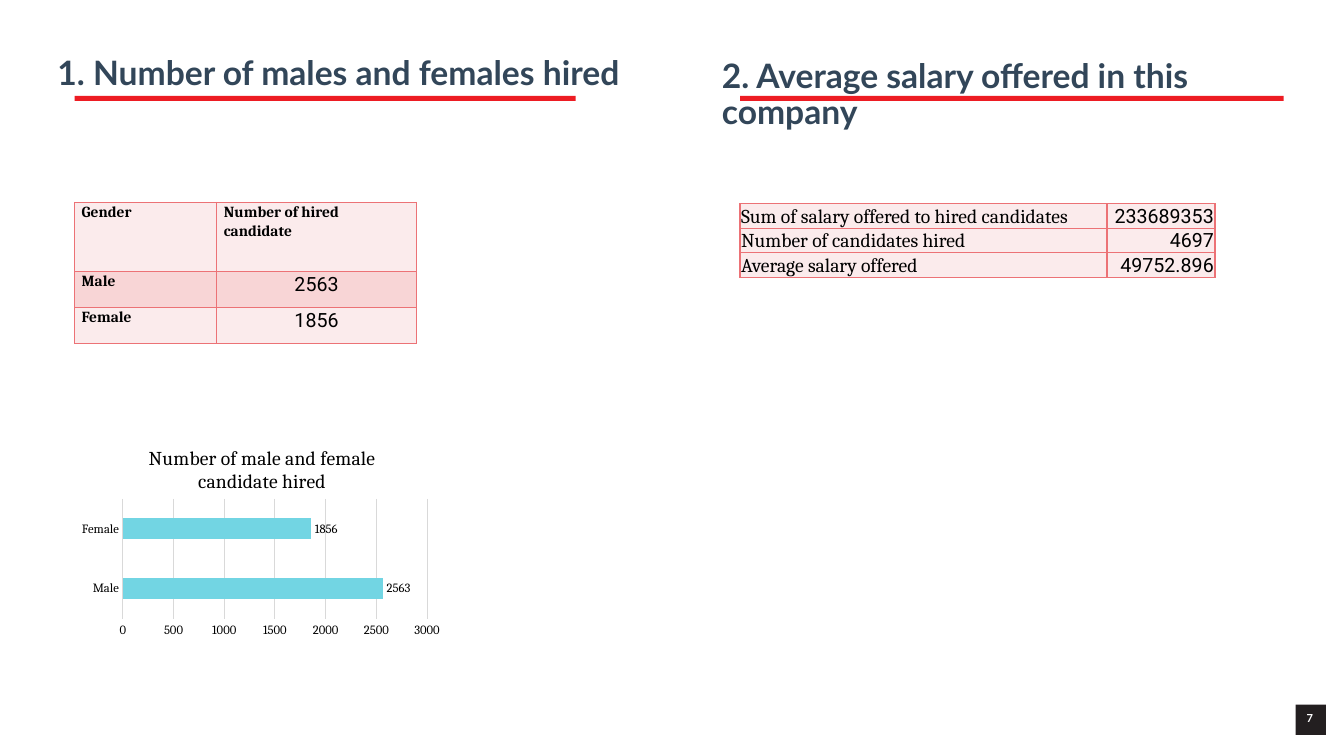
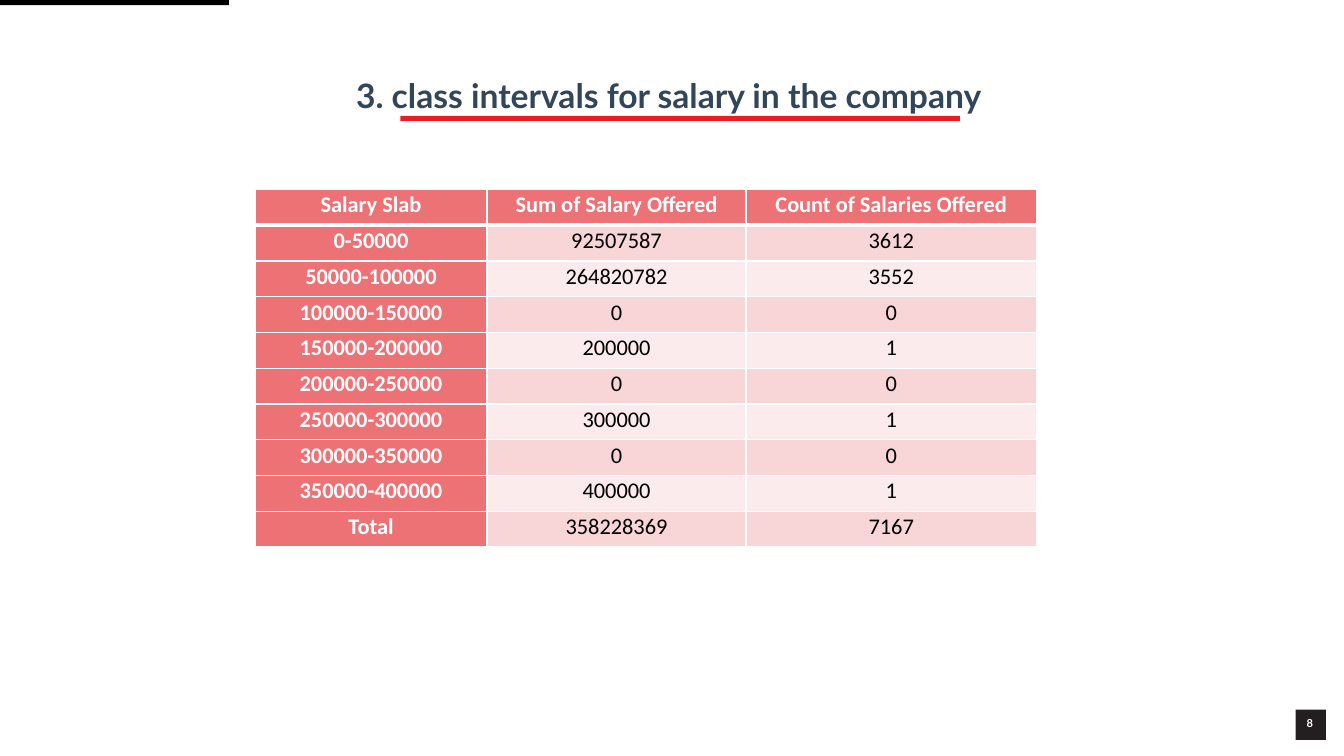
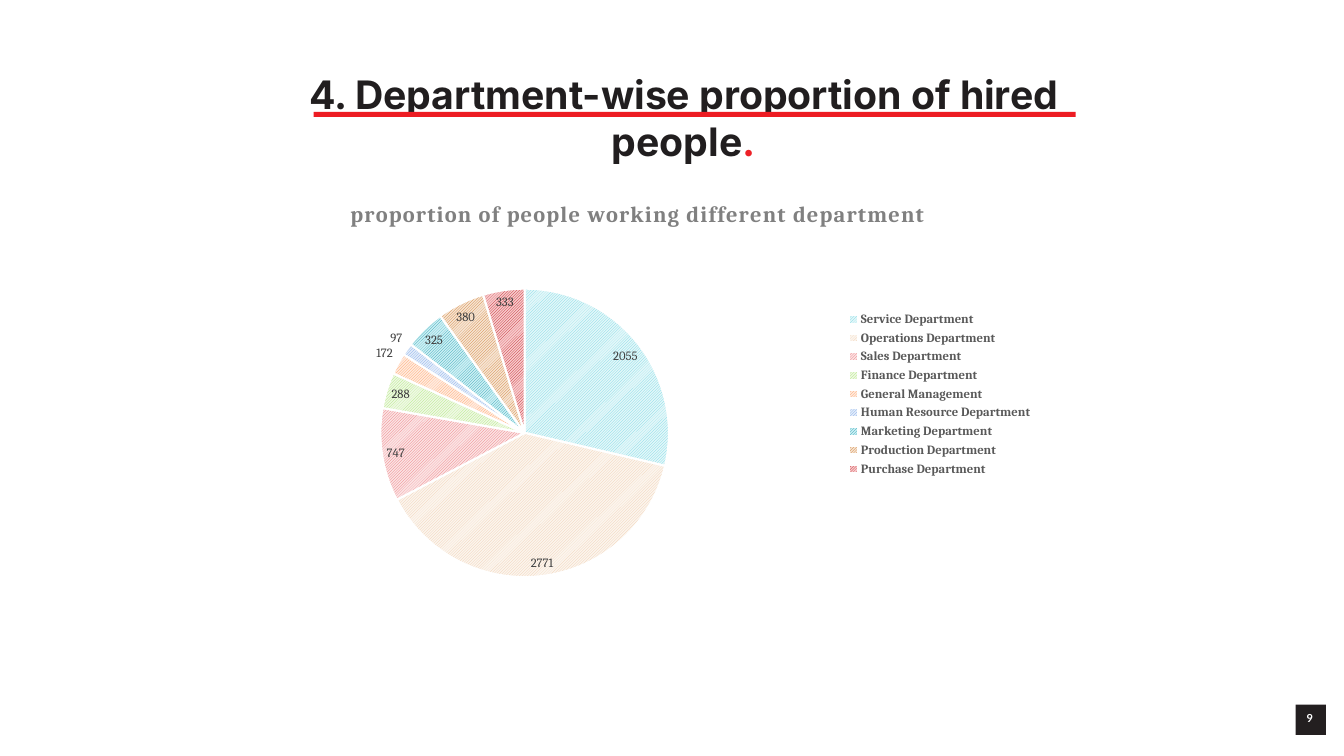
from pptx import Presentation
from pptx.chart.data import CategoryChartData
from pptx.dml.color import RGBColor
from pptx.enum.chart import XL_CHART_TYPE, XL_LABEL_POSITION, XL_LEGEND_POSITION, XL_TICK_MARK
from pptx.enum.dml import MSO_PATTERN
from pptx.enum.shapes import MSO_SHAPE
from pptx.enum.text import MSO_ANCHOR, PP_ALIGN
from pptx.oxml import parse_xml
from pptx.oxml.ns import nsdecls
from pptx.util import Inches, Pt

BLACK, WHITE = "000000", "FFFFFF"
RED, INK, NAVY = "ED1C23", "231F20", "324659"
CORAL, BLUSH, PALE = "EC7276", "F8D5D6", "FBEBEC"
GRID = "D9D9D9"
LEFT, CENTER, RIGHT = PP_ALIGN.LEFT, PP_ALIGN.CENTER, PP_ALIGN.RIGHT

SALARY_ROWS = [
    ("Salary Slab", "Sum of Salary Offered", "Count of Salaries Offered"),
    ("0-50000", "92507587", "3612"),
    ("50000-100000", "264820782", "3552"),
    ("100000-150000", "0", "0"),
    ("150000-200000", "200000", "1"),
    ("200000-250000", "0", "0"),
    ("250000-300000", "300000", "1"),
    ("300000-350000", "0", "0"),
    ("350000-400000", "400000", "1"),
    ("Total", "358228369", "7167"),
]

# department, headcount, pattern foreground, pattern background
DEPARTMENTS = [
    ("Service Department", 2055, "72D5E3", "E3F7F9"),
    ("Operations Department", 2771, "EECCAC", "FCF5EE"),
    ("Sales Department", 747, "EC7276", "FBE3E4"),
    ("Finance Department", 288, "ABE373", "EEF9E3"),
    ("General Management", 172, "FF9B5D", "FFEBDF"),
    ("Human Resource Department", 97, "77A4E7", "E4EDFA"),
    ("Marketing Department", 325, "229AAB", "CCF0F5"),
    ("Production Department", 380, "CC792A", "F6E4D3"),
    ("Purchase Department", 333, "B9191E", "F8CACC"),
]


def rgb(value):
    return RGBColor.from_string(value)


def set_font(font, name, size, color=BLACK, bold=False):
    font.name, font.size, font.bold = name, Pt(size), bold
    font.color.rgb = rgb(color)


def add_block(slide, left, top, width, height, color):
    block = slide.shapes.add_shape(
        MSO_SHAPE.RECTANGLE, Inches(left), Inches(top), Inches(width), Inches(height))
    block.shadow.inherit = False
    block.fill.solid()
    block.fill.fore_color.rgb = rgb(color)
    block.line.fill.background()


def add_underline(slide, left, top, width):
    add_block(slide, left, top, width, 0.05, RED)


def add_text(slide, left, top, width, height, text, name, size, color,
             align=LEFT, spacing=1.0):
    box = slide.shapes.add_textbox(Inches(left), Inches(top), Inches(width), Inches(height))
    frame = box.text_frame
    frame.word_wrap = True
    frame.margin_left = frame.margin_right = frame.margin_top = frame.margin_bottom = 0
    frame.text = text
    paragraph = frame.paragraphs[0]
    paragraph.alignment, paragraph.line_spacing = align, spacing
    set_font(paragraph.runs[0].font, name, size, color, True)
    return paragraph


def add_title(slide, left, top, width, text, align=LEFT):
    add_text(slide, left, top, width, 0.36, text, "Lato", 24, NAVY, align, 0.9)


def add_page_number(slide, number, top=6.99):
    add_block(slide, 12.85, top, 0.3, 0.3, INK)
    add_text(slide, 12.96, top + 0.07, 0.14, 0.14, str(number), "Lato", 7.9, WHITE)


def set_borders(cell, color, bottom=1):
    properties = cell._tc.get_or_add_tcPr()
    for index, side in enumerate("LRTB"):
        width = Pt(bottom if side == "B" else 1)
        properties.insert(index, parse_xml(
            f'<a:ln{side} {nsdecls("a")} w="{width}"><a:solidFill>'
            f'<a:srgbClr val="{color}"/></a:solidFill></a:ln{side}>'))


def add_grid(slide, left, top, widths, heights, rows, border, style, header_rule=1,
             margins=(0.07, 0), anchor=MSO_ANCHOR.TOP, spacing=1.07, after=8):
    """style(row, column) gives the fill, alignment and font arguments of a cell."""
    table = slide.shapes.add_table(
        len(rows), len(widths), Inches(left), Inches(top),
        Inches(sum(widths)), Inches(sum(heights))).table
    table.first_row = table.horz_banding = False
    for column, width in zip(table.columns, widths):
        column.width = Inches(width)
    for r, (row, height) in enumerate(zip(rows, heights)):
        table.rows[r].height = Inches(height)
        for c, text in enumerate(row):
            fill, align, font = style(r, c)
            cell = table.cell(r, c)
            cell.margin_left = cell.margin_right = Inches(margins[0])
            cell.margin_top, cell.margin_bottom = Inches(margins[1]), 0
            cell.vertical_anchor = anchor
            cell.fill.solid()
            cell.fill.fore_color.rgb = rgb(fill)
            set_borders(cell, border, header_rule if r == 0 else 1)
            cell.text_frame.text = text
            paragraph = cell.text_frame.paragraphs[0]
            paragraph.alignment, paragraph.line_spacing = align, spacing
            paragraph.space_after = Pt(after)
            set_font(paragraph.runs[0].font, *font)


def gender_style(row, column):
    fill = BLUSH if row == 1 else PALE
    if row and column:
        return fill, CENTER, ("Roboto", 14)
    return fill, LEFT, ("Cambria", 11, BLACK, True)


def average_style(row, column):
    return PALE, RIGHT if column else LEFT, ("Roboto" if column else "Cambria", 14)


def salary_style(row, column):
    if row == 0 or column == 0:
        return CORAL, CENTER, ("Calibri", 16, WHITE, True)
    return BLUSH if row % 2 else PALE, CENTER, ("Calibri", 16)


def set_layout(parent, index, target="", **fractions):
    for old in parent.xpath("./c:layout"):
        parent.remove(old)
    inner = f'<c:layoutTarget val="{target}"/>' if target else ""
    modes = '<c:xMode val="edge"/><c:yMode val="edge"/>'
    places = "".join(f'<c:{key} val="{value}"/>' for key, value in fractions.items())
    parent.insert(index, parse_xml(
        f'<c:layout {nsdecls("c")}><c:manualLayout>{inner}{modes}{places}'
        '</c:manualLayout></c:layout>'))


def add_graph(slide, kind, left, top, width, height, categories, values, title, plot_area):
    """Returns the chart, its plot and the font of its title."""
    data = CategoryChartData()
    data.categories = categories
    data.add_series("Series 1", values)
    chart = slide.shapes.add_chart(
        kind, Inches(left), Inches(top), Inches(width), Inches(height), data).chart
    set_font(chart.font, "Cambria", 10)
    chart.has_title = True
    chart.chart_title.text_frame.text = title
    x, y, w, h = plot_area
    set_layout(chart._chartSpace.chart.plotArea, 0, "inner", x=x, y=y, w=w, h=h)
    plot = chart.plots[0]
    plot.has_data_labels = True
    plot.data_labels.show_value = True
    return chart, plot, chart.chart_title.text_frame.paragraphs[0].runs[0].font


def add_gender_chart(slide):
    chart, plot, title_font = add_graph(
        slide, XL_CHART_TYPE.BAR_CLUSTERED, 0.74, 4.23, 3.68, 2.12,
        ["Male", "Female"], [2563, 1856],
        "Number of male and female candidate hired", (0.13, 0.34, 0.82, 0.56))
    set_font(title_font, "Cambria", 14)
    set_layout(chart.chart_title._element, 1, x=0.19, y=0.07)
    chart.has_legend = False
    plot.gap_width, plot.vary_by_categories = 182, False
    plot.series[0].format.fill.solid()
    plot.series[0].format.fill.fore_color.rgb = rgb("72D5E3")
    plot.data_labels.position = XL_LABEL_POSITION.OUTSIDE_END
    set_font(plot.data_labels.font, "Cambria", 9)
    for axis in (chart.category_axis, chart.value_axis):
        axis.major_tick_mark = axis.minor_tick_mark = XL_TICK_MARK.NONE
        set_font(axis.tick_labels.font, "Cambria", 9)
    gridlines = chart.value_axis.major_gridlines
    for line in (chart.category_axis.format.line, gridlines.format.line):
        line.color.rgb, line.width = rgb(GRID), Pt(0.75)
    chart.value_axis.format.line.fill.background()


def add_department_chart(slide):
    names, counts, foregrounds, backgrounds = zip(*DEPARTMENTS)
    chart, plot, title_font = add_graph(
        slide, XL_CHART_TYPE.PIE, 1.92, 1.77, 8.42, 4.28, names, counts,
        "proportion of people working different department", (0.22, 0.25, 0.34, 0.68))
    set_font(title_font, "Cambria", 16, "808080", True)
    title_font._element.set("spc", "100")
    set_layout(chart.chart_title._element, 1, x=0.18, y=0.04)
    chart.has_legend = True
    chart.legend.position = XL_LEGEND_POSITION.RIGHT
    chart.legend.include_in_layout = False
    set_font(chart.legend.font, "Cambria", 9, "595959", True)
    plot.vary_by_categories = True
    plot.data_labels.position = XL_LABEL_POSITION.BEST_FIT
    set_font(plot.data_labels.font, "Cambria", 9, "404040")
    for index, (foreground, background) in enumerate(zip(foregrounds, backgrounds)):
        wedge = plot.series[0].points[index].format
        wedge.fill.patterned()
        wedge.fill.pattern = MSO_PATTERN.LIGHT_UPWARD_DIAGONAL
        wedge.fill.fore_color.rgb = rgb(foreground)
        wedge.fill.back_color.rgb = rgb(background)
        wedge.line.color.rgb, wedge.line.width = rgb(WHITE), Pt(1.5)


def build_hiring_slide(slide):
    add_underline(slide, 0.74, 0.95, 4.97)
    add_page_number(slide, 7)
    add_title(slide, 0.57, 0.56, 5.98, "1. Number of males and females hired")
    add_grid(slide, 0.74, 2.01, [1.41, 1.98], [0.68, 0.36, 0.36],
             [("Gender", "Number of hired candidate"), ("Male", "2563"), ("Female", "1856")],
             CORAL, gender_style)
    add_gender_chart(slide)
    add_underline(slide, 7.34, 0.95, 5.39)
    add_title(slide, 7.16, 0.59, 5.98, "2. Average salary offered in this company")
    add_grid(slide, 7.34, 2.02, [3.64, 1.07], [0.23] * 3,
             [("Sum of salary offered to hired candidates", "233689353"),
              ("Number of candidates hired", "4697"),
              ("Average salary offered", "49752.896")],
             CORAL, average_style, margins=(0.01, 0.01), anchor=MSO_ANCHOR.BOTTOM,
             spacing=1.0, after=0)


def build_salary_slide(slide):
    add_page_number(slide, 8, 7.04)
    add_block(slide, 0, 0, 2.27, 0.05, BLACK)
    add_title(slide, 2.43, 0.79, 8.48, "3. class intervals for salary in the company ", CENTER)
    add_underline(slide, 3.97, 1.15, 5.55)
    add_grid(slide, 2.53, 1.88, [2.3, 2.57, 2.88], [0.355] * len(SALARY_ROWS),
             SALARY_ROWS, WHITE, salary_style, header_rule=3)


def build_department_slide(slide):
    title = add_text(slide, 2.89, 0.69, 7.78, 0.48,
                     "4. Department-wise proportion of hired people",
                     "Inter", 28, "211E1F", CENTER, 1.01)
    stop = title.add_run()
    stop.text = "."
    set_font(stop.font, "Inter", 28, "ED2127", True)
    add_underline(slide, 3.11, 1.11, 7.56)
    add_page_number(slide, 9)
    add_department_chart(slide)


def main():
    deck = Presentation()
    deck.slide_width, deck.slide_height = Inches(13.33), Inches(7.5)
    for build in (build_hiring_slide, build_salary_slide, build_department_slide):
        build(deck.slides.add_slide(deck.slide_layouts[6]))
    deck.save("out.pptx")


if __name__ == "__main__":
    main()
